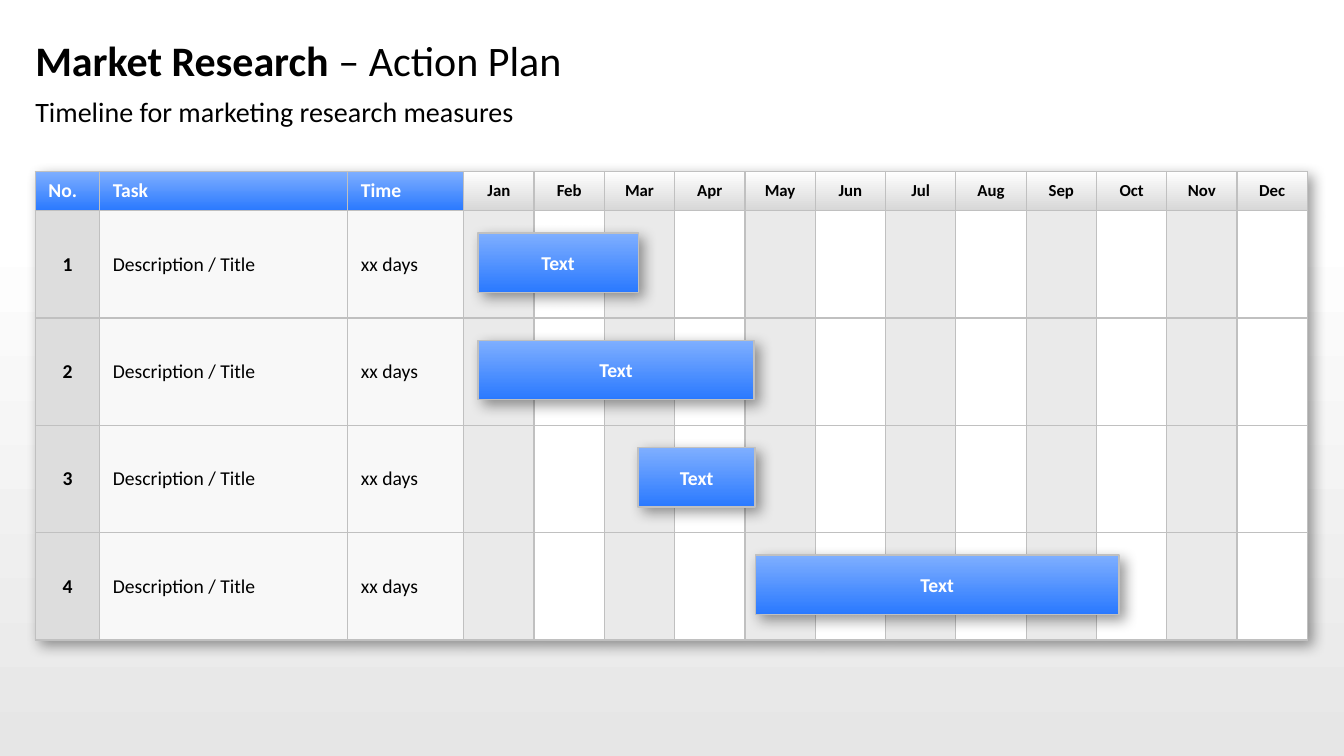
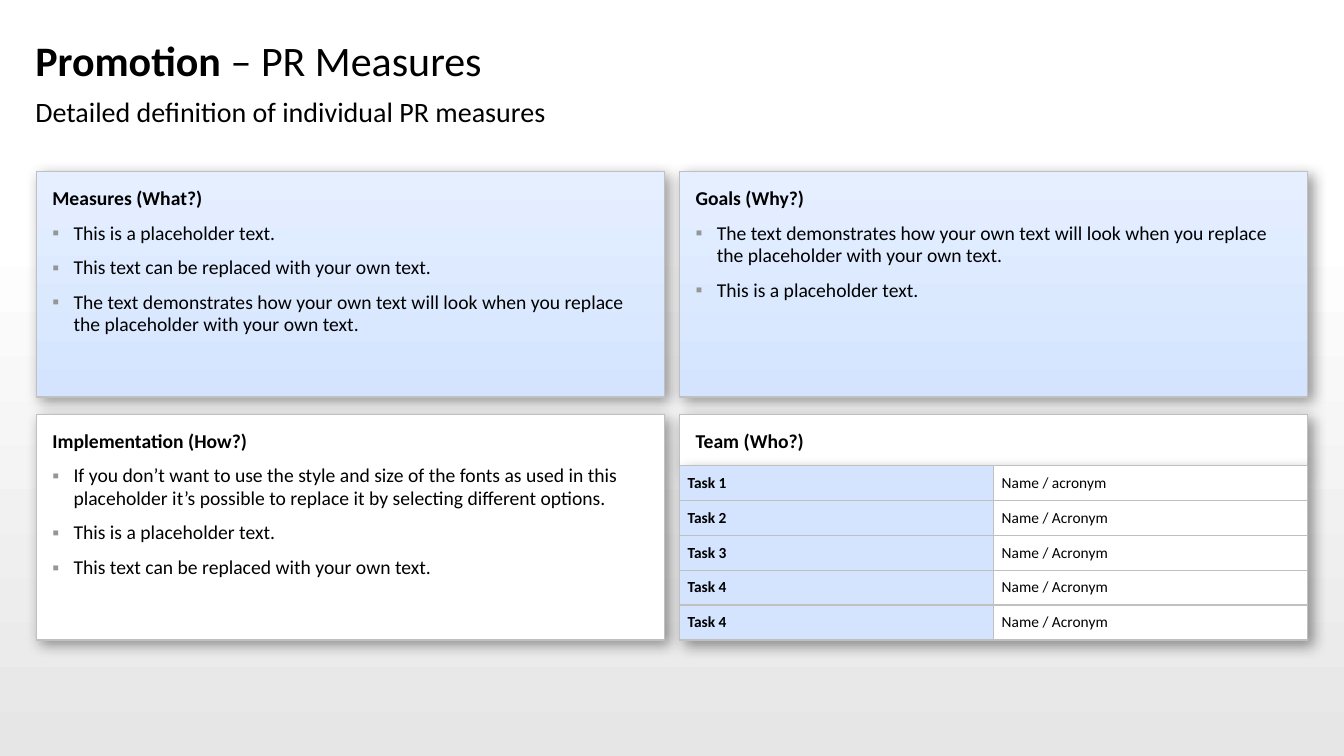
"""Build a market research timeline slide and a PR measures slide."""
import pptx
import pptx.dml.color
import pptx.enum.shapes
import pptx.enum.text
import pptx.oxml
import pptx.oxml.ns
import pptx.util
from lxml import etree

Inches = pptx.util.Inches
Pt = pptx.util.Pt
ALIGN = pptx.enum.text.PP_ALIGN
ANCHOR = pptx.enum.text.MSO_ANCHOR

FONT = "Calibri"
BLACK, WHITE, GREY, BULLET_GREY = "000000", "FFFFFF", "C0C0C0", "969696"
BLUE = ("7FAFFF", "2A79FF")
PALE_BLUE = ("E5EFFF", "D4E4FF")
SILVER = ("FFFFFF", "D7D7D7")
BACKDROP = ("FFFFFF", "E6E6E6")
NUMBER_FILL, TASK_FILL, MONTH_FILL = "DDDDDD", "F8F8F8", "EAEAEA"

LEFT, TOP, WIDTH, HEIGHT = 0.35, 1.7, 12.62, 4.65
HEADER_HEIGHT = 0.39
LABEL_WIDTHS = [0.64, 2.46, 1.15]
MONTHS = "Jan Feb Mar Apr May Jun Jul Aug Sep Oct Nov Dec".split()
BARS = [(4.74, 1.59), (4.74, 2.74), (6.33, 1.16), (7.49, 3.61)]

PANEL_LEFTS, PANEL_TOPS = (0.36, 6.74), (1.7, 4.11)
PANEL_WIDTH, PANEL_HEIGHT, TEAM_HEIGHT = 6.23, 2.24, 0.51

PLACEHOLDER = "This is a placeholder text."
REPLACE = "This text can be replaced with your own text."
DEMONSTRATE = ("The text demonstrates how your own text will look when you "
               "replace the placeholder with your own text.")
OPTIONS = ("If you don’t want to use the style and size of the fonts as used in this "
           "placeholder it’s possible to replace it by selecting different options.")
TEAM = [("Task 1", "Name / acronym"), ("Task 2", "Name / Acronym"),
        ("Task 3", "Name / Acronym"), ("Task 4", "Name / Acronym"),
        ("Task 4", "Name / Acronym")]


def rgb(value):
    return pptx.dml.color.RGBColor.from_string(value)


def paint(fill, colour):
    if isinstance(colour, str):
        fill.solid()
        fill.fore_color.rgb = rgb(colour)
        return
    fill.gradient()
    fill.gradient_angle = 270
    for stop, position, value in zip(fill.gradient_stops, (0, 1), colour):
        stop.position = position
        stop.color.rgb = rgb(value)


def shadow_effect(distance):
    return pptx.oxml.parse_xml(
        f'<a:effectLst {pptx.oxml.ns.nsdecls("a")}>'
        f'<a:outerShdw blurRad="{Pt(10)}" dist="{Pt(distance)}" dir="2700000" '
        'algn="tl" rotWithShape="0"><a:srgbClr val="000000">'
        '<a:alpha val="40000"/></a:srgbClr></a:outerShdw></a:effectLst>')


def set_font(font, size, bold=False, colour=BLACK):
    font.name = FONT
    font.size = Pt(size)
    font.bold = bold
    font.color.rgb = rgb(colour)


def set_margins(holder, margins):
    (holder.margin_left, holder.margin_top,
     holder.margin_right, holder.margin_bottom) = map(Inches, margins)


def add_rectangle(slide, left, top, width, height, colour):
    shape = slide.shapes.add_shape(
        pptx.enum.shapes.MSO_SHAPE.RECTANGLE,
        Inches(left), Inches(top), Inches(width), Inches(height))
    shape.shadow.inherit = False
    paint(shape.fill, colour)
    shape.line.fill.background()
    return shape


def add_card(slide, left, top, width, height, colour, distance):
    shape = add_rectangle(slide, left, top, width, height, colour)
    shape.line.color.rgb = rgb(GREY)
    shape.line.width = Pt(1)
    properties = shape.fill._xPr
    properties.remove(properties.find(pptx.oxml.ns.qn("a:effectLst")))
    properties.append(shadow_effect(distance))
    return shape


def add_bar(slide, left, top, width):
    shape = add_card(slide, left, top, width, 0.59, BLUE, 5)
    frame = shape.text_frame
    frame.vertical_anchor = ANCHOR.MIDDLE
    set_margins(frame, (0, 0, 0, 0))
    paragraph = frame.paragraphs[0]
    paragraph.text = "Text"
    paragraph.alignment = ALIGN.CENTER
    set_font(paragraph.font, 14, True, WHITE)


def add_bullet(paragraph):
    properties = paragraph._p.get_or_add_pPr()
    properties.set("marL", str(Inches(0.21)))
    properties.set("indent", str(-Inches(0.21)))
    qn = pptx.oxml.ns.qn
    colour = etree.SubElement(properties, qn("a:buClr"))
    etree.SubElement(colour, qn("a:srgbClr"), val=BULLET_GREY)
    etree.SubElement(properties, qn("a:buFont"), typeface="Arial")
    etree.SubElement(properties, qn("a:buChar"), char="▪")


def add_panel(slide, left, top, height, colour, heading, items=()):
    shape = add_card(slide, left, top, PANEL_WIDTH, height, colour, 4)
    frame = shape.text_frame
    frame.word_wrap = True
    frame.vertical_anchor = ANCHOR.TOP
    set_margins(frame, (0.16, 0.16, 0.12, 0))
    for index, text in enumerate([heading, *items]):
        paragraph = frame.add_paragraph() if index else frame.paragraphs[0]
        paragraph.text = text
        paragraph.alignment = ALIGN.LEFT
        paragraph.line_spacing = 0.95
        paragraph.space_after = Pt(6)
        if index:
            paragraph.space_before = Pt(2.8)
            add_bullet(paragraph)
        set_font(paragraph.font, 14, index == 0)


def add_text_box(slide, top, height, anchor):
    box = slide.shapes.add_textbox(
        Inches(LEFT), Inches(top), Inches(WIDTH), Inches(height))
    frame = box.text_frame
    frame.word_wrap = True
    frame.vertical_anchor = anchor
    set_margins(frame, (0, 0, 0, 0))
    return frame.paragraphs[0]


def add_slide(presentation, topic, detail, subtitle):
    slide = presentation.slides.add_slide(presentation.slide_layouts[6])
    add_rectangle(slide, 0, 2.21, 13.33, 5.29, BACKDROP)
    title = add_text_box(slide, 0.26, 0.67, ANCHOR.MIDDLE)
    for text, bold in ((topic, True), (f" – {detail}", False)):
        run = title.add_run()
        run.text = text
        set_font(run.font, 30, bold)
    paragraph = add_text_box(slide, 0.94, 0.37, ANCHOR.TOP)
    paragraph.text = subtitle
    set_font(paragraph.font, 20)
    return slide


def add_table(slide, left, top, widths, heights):
    table = slide.shapes.add_table(
        len(heights), len(widths), Inches(left), Inches(top),
        Inches(sum(widths)), Inches(sum(heights))).table
    table.first_row = table.horz_banding = False
    for column, width in zip(table.columns, widths):
        column.width = Inches(width)
    for row, height in zip(table.rows, heights):
        row.height = Inches(height)
    table._tbl.tblPr.insert(0, shadow_effect(5))
    return table


def fill_cell(cell, colour, text="", size=14, bold=False, font_colour=BLACK,
              align=ALIGN.LEFT, margins=(0.13, 0.04, 0.05, 0.04)):
    paint(cell.fill, colour)
    properties = cell._tc.get_or_add_tcPr()
    for index, side in enumerate("LRTB"):
        properties.insert(index, pptx.oxml.parse_xml(
            f'<a:ln{side} {pptx.oxml.ns.nsdecls("a")} w="{Pt(1)}"><a:solidFill>'
            f'<a:srgbClr val="{GREY}"/></a:solidFill></a:ln{side}>'))
    cell.vertical_anchor = ANCHOR.MIDDLE
    set_margins(cell, margins)
    paragraph = cell.text_frame.paragraphs[0]
    if text:
        paragraph.text = text
    paragraph.alignment = align
    set_font(paragraph.font, size, bold, font_colour)


def build_timeline(presentation):
    slide = add_slide(presentation, "Market Research", "Action Plan",
                      "Timeline for marketing research measures")
    month_width = (WIDTH - sum(LABEL_WIDTHS)) / len(MONTHS)
    row_height = (HEIGHT - HEADER_HEIGHT) / len(BARS)
    table = add_table(slide, LEFT, TOP, LABEL_WIDTHS + [month_width] * len(MONTHS),
                      [HEADER_HEIGHT] + [row_height] * len(BARS))
    centred = {"align": ALIGN.CENTER, "margins": (0, 0.05, 0, 0.05)}
    first_month = len(LABEL_WIDTHS)
    for column, label in enumerate(("No.", "Task", "Time")):
        fill_cell(table.cell(0, column), BLUE, label, 14, True, WHITE)
    for column, month in enumerate(MONTHS, first_month):
        fill_cell(table.cell(0, column), SILVER, month, 12, True, **centred)
    for row, (left, width) in enumerate(BARS, 1):
        fill_cell(table.cell(row, 0), NUMBER_FILL, str(row), bold=True, **centred)
        fill_cell(table.cell(row, 1), TASK_FILL, "Description / Title")
        fill_cell(table.cell(row, 2), TASK_FILL, "xx days")
        for month in range(len(MONTHS)):
            fill_cell(table.cell(row, first_month + month),
                      WHITE if month % 2 else MONTH_FILL)
        add_bar(slide, left, TOP + HEADER_HEIGHT + (row - 1) * row_height + 0.22, width)


def build_measures(presentation):
    slide = add_slide(presentation, "Promotion", "PR Measures",
                      "Detailed definition of individual PR measures")
    (left, right), (upper, lower) = PANEL_LEFTS, PANEL_TOPS
    add_panel(slide, left, upper, PANEL_HEIGHT, PALE_BLUE, "Measures (What?)",
              [PLACEHOLDER, REPLACE, DEMONSTRATE])
    add_panel(slide, left, lower, PANEL_HEIGHT, WHITE, "Implementation (How?)",
              [OPTIONS, PLACEHOLDER, REPLACE])
    add_panel(slide, right, lower, TEAM_HEIGHT, WHITE, "Team (Who?)")
    add_panel(slide, right, upper, PANEL_HEIGHT, PALE_BLUE, "Goals (Why?)",
              [DEMONSTRATE, PLACEHOLDER])
    row_height = (PANEL_HEIGHT - TEAM_HEIGHT) / len(TEAM)
    table = add_table(slide, right, lower + TEAM_HEIGHT, [PANEL_WIDTH / 2] * 2,
                      [row_height] * len(TEAM))
    margins = (0.08, 0.04, 0.08, 0.04)
    for row, (task, name) in enumerate(TEAM):
        fill_cell(table.cell(row, 0), PALE_BLUE[1], task, 11, True, margins=margins)
        fill_cell(table.cell(row, 1), WHITE, name, 11, margins=margins)


def main():
    presentation = pptx.Presentation()
    presentation.slide_width = Inches(13.33)
    presentation.slide_height = Inches(7.5)
    build_timeline(presentation)
    build_measures(presentation)
    presentation.save("out.pptx")


if __name__ == "__main__":
    main()
